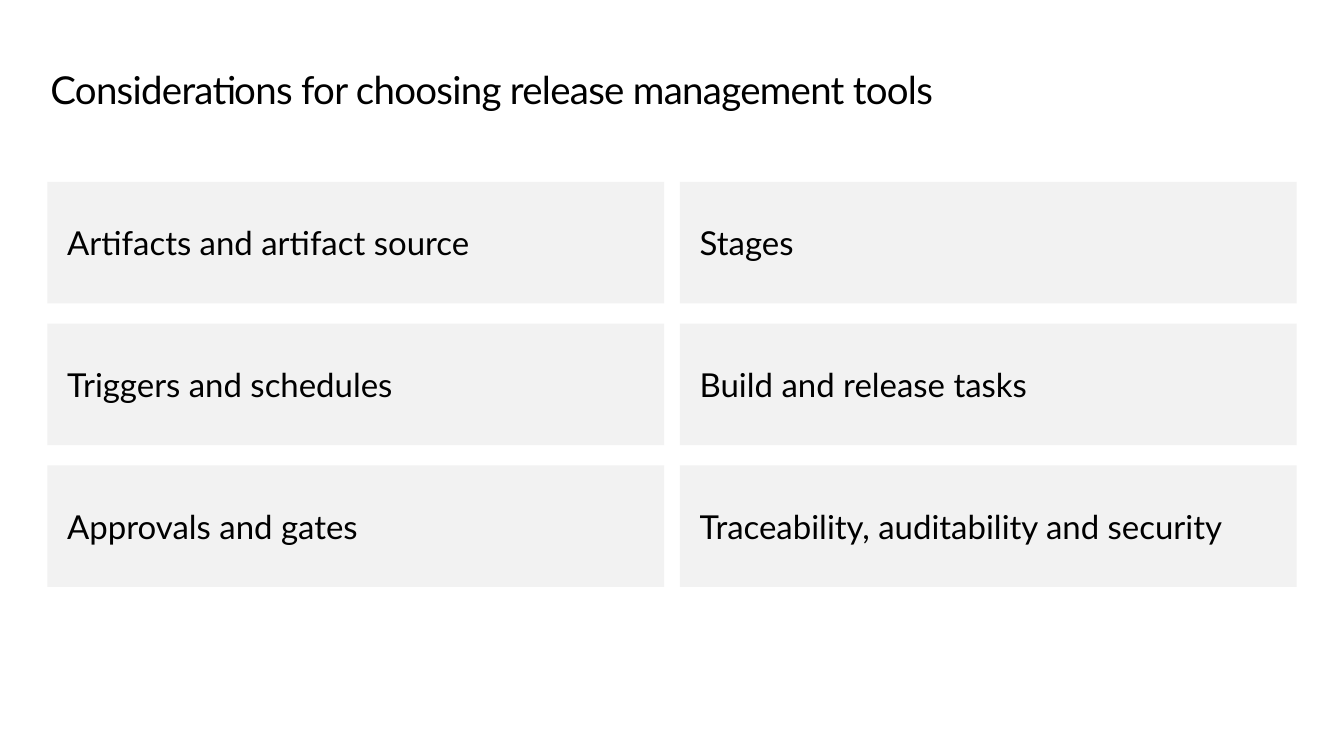
from pptx import Presentation
from pptx.dml.color import RGBColor
from pptx.enum.shapes import MSO_SHAPE as Preset
from pptx.enum.text import MSO_ANCHOR as Anchor, PP_ALIGN as Align
from pptx.util import Pt

BLACK = RGBColor(0x00, 0x00, 0x00)
PALE_GRAY = RGBColor(0xF2, 0xF2, 0xF2)

HEADING = "Considerations for choosing release management tools"
CONSIDERATIONS = [
    ["Artifacts and artifact source", "Triggers and schedules", "Approvals and gates"],
    ["Stages", "Build and release tasks", "Traceability, auditability and security"],
]

# Card grid, in points
LEFT, TOP = 34.6, 132.5
CARD_WIDTH, CARD_HEIGHT = 449.3, 88.6
COLUMN_STEP, ROW_STEP = 460.8, 103.3


class SlideBuilder:
    """Holds the text style and the slide being filled."""

    font_name = "Lato"
    font_color = BLACK

    def __init__(self, slide):
        self.slide = slide

    def set_text(self, frame, text, size, margin_x=0, margin_y=0):
        frame.word_wrap = True
        frame.margin_left = frame.margin_right = Pt(margin_x)
        frame.margin_top = frame.margin_bottom = Pt(margin_y)
        frame.text = text
        paragraph = frame.paragraphs[0]
        paragraph.alignment = Align.LEFT
        run = paragraph.runs[0]
        run.font.name = self.font_name
        run.font.size = Pt(size)
        run.font.color.rgb = self.font_color
        return paragraph

    def heading(self, text, left, top, width, height):
        box = self.slide.shapes.add_textbox(Pt(left), Pt(top), Pt(width), Pt(height))
        paragraph = self.set_text(box.text_frame, text, 28)
        paragraph.line_spacing = Pt(32)
        # Tighten the letters by half a point
        paragraph.runs[0]._r.get_or_add_rPr().set("spc", "-50")

    def card(self, text, left, top, width, height):
        card = self.slide.shapes.add_shape(
            Preset.RECTANGLE, Pt(left), Pt(top), Pt(width), Pt(height))
        card.shadow.inherit = False
        card.fill.solid()
        card.fill.fore_color.rgb = PALE_GRAY
        card.line.fill.background()
        card.text_frame.vertical_anchor = Anchor.MIDDLE
        self.set_text(card.text_frame, text, 24, margin_x=14.4, margin_y=10.8)


def main():
    deck = Presentation()
    deck.slide_width, deck.slide_height = Pt(979.2), Pt(550.8)
    builder = SlideBuilder(deck.slides.add_slide(deck.slide_layouts[6]))

    # Heading
    builder.heading(HEADING, 36.7, 49.7, 907.9, 32)

    # Two columns of considerations
    for column, topics in enumerate(CONSIDERATIONS):
        for row, topic in enumerate(topics):
            builder.card(topic, LEFT + column * COLUMN_STEP, TOP + row * ROW_STEP,
                         CARD_WIDTH, CARD_HEIGHT)

    deck.save("out.pptx")


if __name__ == "__main__":
    main()
